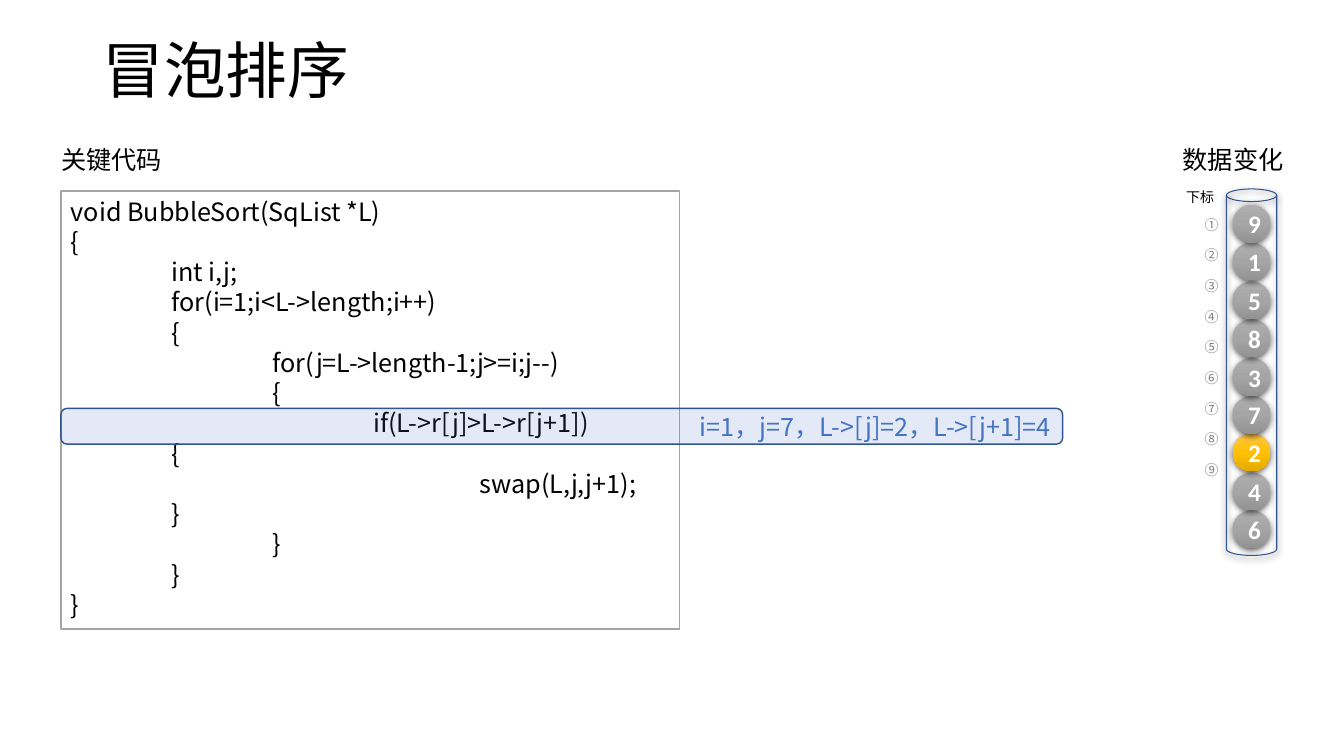
"""Build the bubble sort slide with its code, current step and data column."""
from dataclasses import dataclass

from lxml import etree
from pptx import Presentation
from pptx import util as u
from pptx.dml.color import RGBColor
from pptx.enum import shapes, text
from pptx.oxml.ns import qn

PX = 9525
CJK = "Noto Sans CJK SC"
COLORS = {
    "black": "000000", "white": "FFFFFF", "index": "808080", "frame": "A5A5A5",
    "outline": "325491", "accent": "4472C4",
}
GRADIENTS = {
    "idle": ("AFAFAF", "A5A5A5", "939393"),
    "active": ("FFC64B", "FFC000", "E3AB00"),
}
CODE = """void BubbleSort(SqList *L)
{
\tint i,j;
\tfor(i=1;i<L->length;i++)
\t{
\t\tfor(j=L->length-1;j>=i;j--)
\t\t{
\t\t\tif(L->r[j]>L->r[j+1]) \t\t\t{
\t\t\t\t swap(L,j,j+1);\t\t\t}
\t\t}
\t}
}"""
VALUES = (9, 1, 5, 8, 3, 7, 2, 4, 6)
ACTIVE = 2
FIRST_BALL, LAST_BALL, BALL = 195, 486, 36


@dataclass
class Box:
    left: int
    top: int
    width: int
    height: int

    def emu(self) -> list[int]:
        return [n * PX for n in (self.left, self.top, self.width, self.height)]


@dataclass
class Label:
    words: str
    box: Box
    size: int
    align: text.PP_ALIGN = text.PP_ALIGN.LEFT


LABELS = (
    Label("下标", Box(1115, 175, 56, 26), 10, text.PP_ALIGN.CENTER),
    Label("关键代码", Box(49, 133, 120, 38), 18),
    Label("数据变化", Box(1117, 133, 116, 38), 18),
)


def rgb(name: str) -> RGBColor:
    return RGBColor.from_string(COLORS[name])


def write(sp, words: str, size: int, color: str = "black", font: str = CJK,
          align: text.PP_ALIGN = text.PP_ALIGN.LEFT, bold: bool = False) -> None:
    tf = sp.text_frame
    tf.text = words
    for p in tf.paragraphs:
        p.alignment = align
        for r in p.runs:
            r.font.size, r.font.bold, r.font.name = u.Pt(size), bold, font
            r.font.color.rgb = rgb(color)
            etree.SubElement(r.font._element, qn("a:ea"), typeface=font)


def add_shape(parent, kind: shapes.MSO_SHAPE, box: Box, line: str = "", weight: float = 1):
    sp = parent.add_shape(kind, *box.emu())
    sp.shadow.inherit = False
    if line:
        sp.line.color.rgb = rgb(line)
        sp.line.width = u.Pt(weight)
    else:
        sp.line.fill.background()
    return sp


def add_shadow(sp) -> None:
    effects = sp._element.spPr.find(qn("a:effectLst"))
    shadow = etree.SubElement(effects, qn("a:outerShdw"), blurRad="57150", dist="19050",
                              dir="5400000", algn="ctr", rotWithShape="0")
    color = etree.SubElement(shadow, qn("a:srgbClr"), val=COLORS["black"])
    etree.SubElement(color, qn("a:alpha"), val="63000")


def add_ball(parent, value: int, box: Box) -> None:
    sp = add_shape(parent, shapes.MSO_SHAPE.OVAL, box)
    sp.fill.gradient()
    sp.fill.gradient_angle = 270
    stops = sp._element.spPr.find(".//" + qn("a:gsLst"))
    stops.clear()
    for i, color in enumerate(GRADIENTS["active" if value == ACTIVE else "idle"]):
        stop = etree.SubElement(stops, qn("a:gs"), pos=str(i * 50000))
        etree.SubElement(stop, qn("a:srgbClr"), val=color)
    add_shadow(sp)
    write(sp, str(value), 18, "white", "Calibri", text.PP_ALIGN.CENTER, True)
    sp.text_frame.vertical_anchor = text.MSO_ANCHOR.MIDDLE


def add_title(s) -> None:
    sp = s.shapes.title
    sp.left, sp.top, sp.width, sp.height = Box(88, 1, 1104, 139).emu()
    write(sp, "冒泡排序", 44)
    sp.text_frame.vertical_anchor = text.MSO_ANCHOR.MIDDLE
    sp.text_frame.paragraphs[0].line_spacing = 0.9


def add_code(s) -> None:
    sp = add_shape(s.shapes, shapes.MSO_SHAPE.RECTANGLE, Box(58, 182, 589, 417), "frame")
    sp.fill.solid()
    sp.fill.fore_color.rgb = rgb("white")
    write(sp, CODE, 18)
    sp.text_frame.vertical_anchor = text.MSO_ANCHOR.TOP
    for p in sp.text_frame.paragraphs:
        p._p.get_or_add_pPr().set("defTabSz", str(u.Inches(1)))


def add_label(s, label: Label) -> None:
    sp = s.shapes.add_textbox(*label.box.emu())
    write(sp, label.words, label.size, align=label.align)
    sp.text_frame.word_wrap = False


def add_indices(s) -> None:
    sp = s.shapes.add_textbox(*Box(1136, 206, 36, 300).emu())
    tf = sp.text_frame
    tf.margin_left = tf.margin_right = tf.margin_top = tf.margin_bottom = 0
    tf.word_wrap = True
    write(sp, "\n".join("①②③④⑤⑥⑦⑧⑨"), 10, "index", align=text.PP_ALIGN.CENTER)
    for p in tf.paragraphs[1:]:
        p.space_before = u.Pt(9.9)


def add_column(s) -> None:
    group = s.shapes.add_group_shape().shapes
    can = add_shape(group, shapes.MSO_SHAPE.CAN, Box(1168, 180, 48, 349), "outline", 0.75)
    can.fill.background()
    add_shadow(can)
    last = len(VALUES) - 1
    for i, value in reversed(list(enumerate(VALUES))):
        top = FIRST_BALL + round(i * (LAST_BALL - FIRST_BALL) / last)
        add_ball(group, value, Box(1174, top, BALL, BALL))


def add_step(s) -> None:
    sp = add_shape(s.shapes, shapes.MSO_SHAPE.ROUNDED_RECTANGLE, Box(58, 389, 954, 34), "outline")
    sp.fill.solid()
    sp.fill.fore_color.rgb = rgb("accent")
    color = sp._element.spPr.find(qn("a:solidFill")).find(qn("a:srgbClr"))
    etree.SubElement(color, qn("a:alpha"), val="15000")
    write(sp, "i=1，j=7，L->[j]=2，L->[j+1]=4", 18, "accent", align=text.PP_ALIGN.RIGHT)
    sp.text_frame.vertical_anchor = text.MSO_ANCHOR.MIDDLE


def main() -> None:
    prs = Presentation()
    prs.slide_width, prs.slide_height = 1280 * PX, 720 * PX
    s = prs.slides.add_slide(prs.slide_layouts[5])
    add_title(s)
    add_code(s)
    for label in LABELS:
        add_label(s, label)
    add_indices(s)
    add_column(s)
    add_step(s)
    prs.save("out.pptx")


if __name__ == "__main__":
    main()
